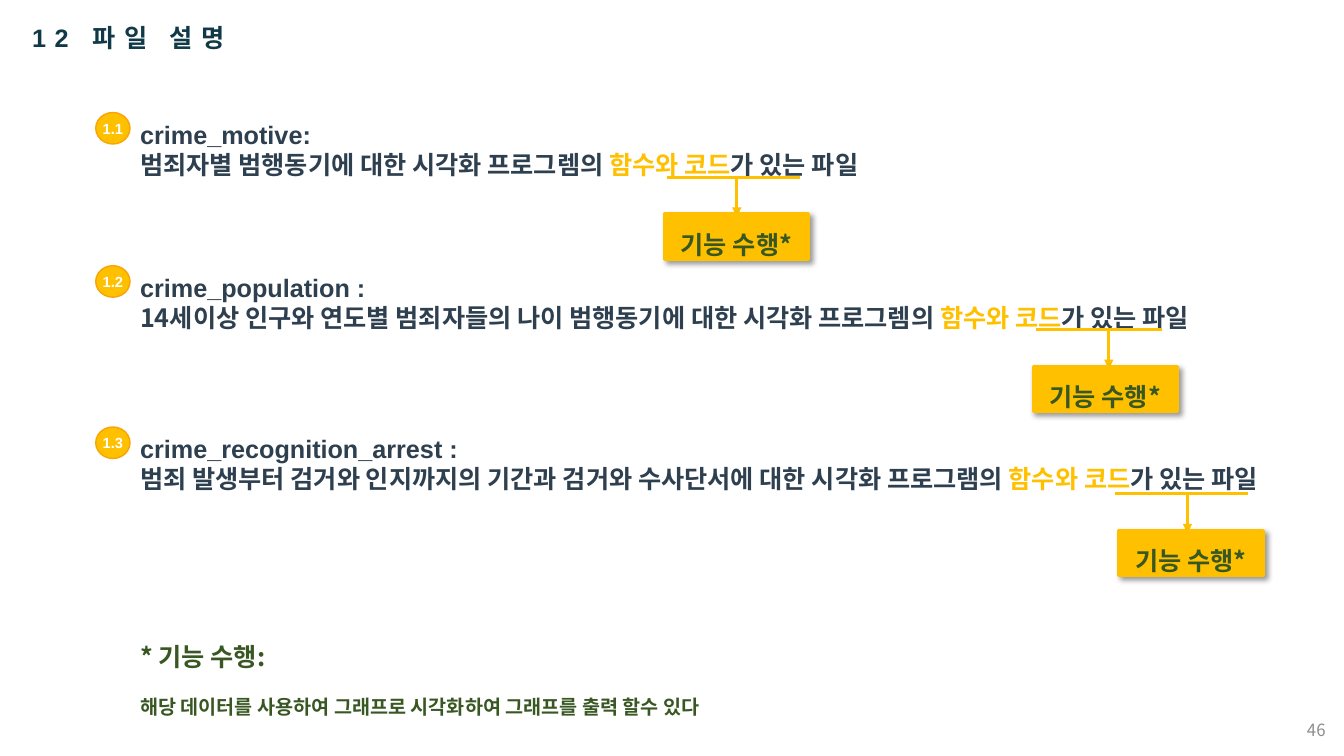
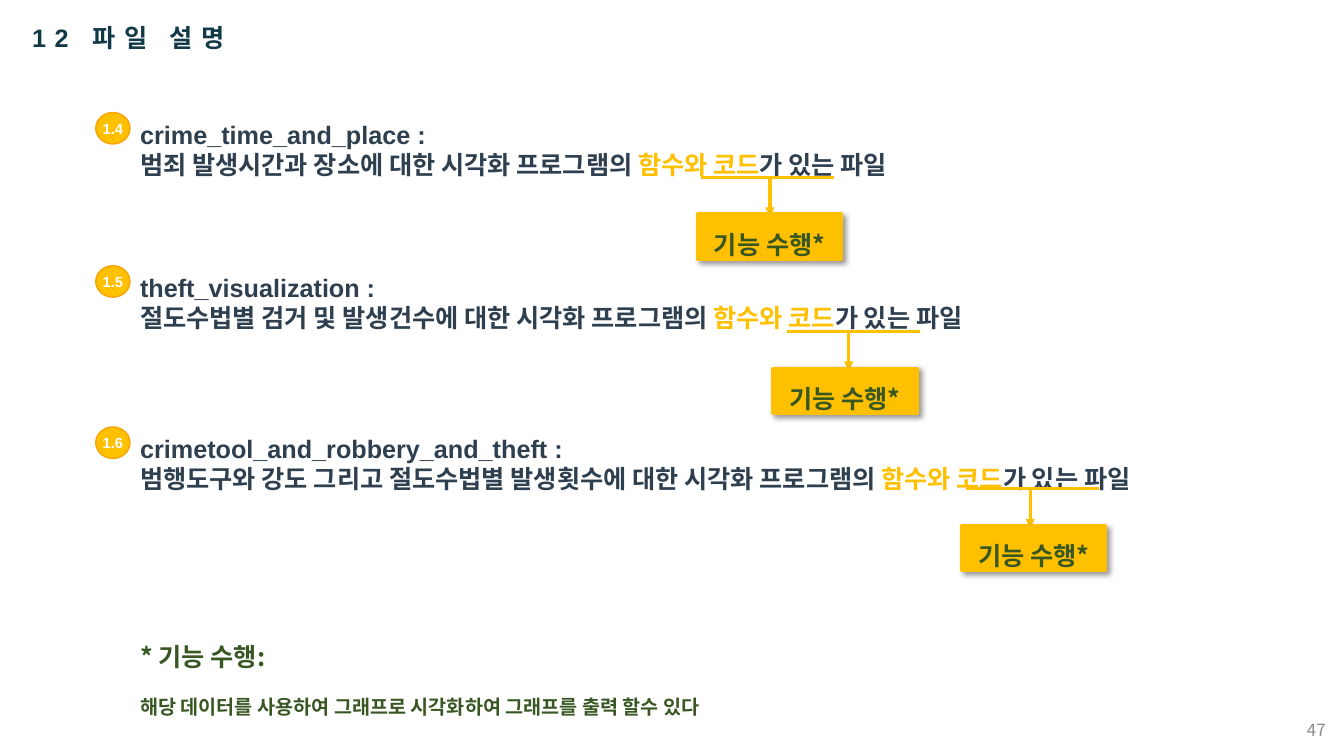
from dataclasses import dataclass

from lxml import etree
from pptx import Presentation
from pptx.dml.color import RGBColor
from pptx.enum.shapes import MSO_CONNECTOR, MSO_SHAPE
from pptx.enum.text import MSO_ANCHOR, MSO_AUTO_SIZE, PP_ALIGN
from pptx.oxml.ns import qn
from pptx.util import Pt

OVAL, RECTANGLE = MSO_SHAPE.OVAL, MSO_SHAPE.RECTANGLE
STRAIGHT = MSO_CONNECTOR.STRAIGHT
TOP, MIDDLE = MSO_ANCHOR.TOP, MSO_ANCHOR.MIDDLE
LEFT, CENTER, RIGHT = PP_ALIGN.LEFT, PP_ALIGN.CENTER, PP_ALIGN.RIGHT
NO_AUTOFIT = MSO_AUTO_SIZE.NONE
COMPARISON_LAYOUT = 4  # a title and four body placeholders


@dataclass(frozen=True)
class Theme:
    latin: str = "Arial"
    korean: str = "Noto Sans CJK KR"
    title: str = "113947"
    ink: str = "2E3F4F"
    accent: str = "FFC000"
    badge_edge: str = "FBA305"
    note: str = "385723"
    page_number: str = "8C8C8C"
    white: str = "FFFFFF"
    heading_size: float = 18
    note_size: float = 14
    number_size: float = 12
    badge_size: float = 10.5
    stroke: float = 2.25


@dataclass(frozen=True)
class Box:
    left: float
    top: float
    width: float
    height: float


@dataclass(frozen=True)
class Row:
    """Vertical places of one entry, and the arrow's offset in its callout."""
    top: float
    arrow_shift: float


@dataclass(frozen=True)
class Entry:
    number: str
    name: str
    description: str
    callout_left: float
    underline_shift: float
    underline_top: float
    underline_width: float = 95
    text_height: float = 62


@dataclass(frozen=True)
class Page:
    number: str
    entries: tuple[Entry, ...]


THEME = Theme()
TITLE = "12 파일 설명"
HIGHLIGHT = "함수와 코드"
ENDING = "가 있는 파일"
CALLOUT = "기능 수행*"
NOTE_HEADING = "* 기능 수행:"
NOTE = "해당 데이터를 사용하여 그래프로 시각화하여 그래프를 출력 할수 있다"

TITLE_BOX = Box(15.8, 12.2, 654.5, 29)
NOTE_BOX = Box(92.9, 432.7, 751, 85)
NUMBER_BOX = Box(738, 506.9, 216, 28.8)
ENTRY_LEFT, ENTRY_WIDTH = 92.9, 816.5
BADGE_LEFT, BADGE_DROP, BADGE_WIDTH, BADGE_HEIGHT = 68.4, 9.8, 24.5, 22.5
CALLOUT_DROP, CALLOUT_WIDTH, CALLOUT_HEIGHT = 26.2, 103, 32.4
ARROW_LENGTH = 28.1

ROWS = (Row(70.6, 51.8), Row(180, 54), Row(295.2, 49))
PAGES = (
    Page("46", (
        Entry("1.1", "crime_motive:",
              "범죄자별 범행동기에 대한 시각화 프로그렘의 ", 474.5, 2.1, 126.7),
        Entry("1.2", "crime_population :",
              "14세이상 인구와 연도별 범죄자들의 나이 범행동기에 대한 시각화 프로그렘의 ",
              738, 2.2, 235.5, underline_width=90),
        Entry("1.3", "crime_recognition_arrest :",
              "범죄 발생부터 검거와 인지까지의 기간과 검거와 수사단서에 대한 시각화 프로그램의 ",
              799.2, -2.9, 352.8, text_height=83.5),
    )),
    Page("47", (
        Entry("1.4", "crime_time_and_place :",
              "범죄 발생시간과 장소에 대한 시각화 프로그램의 ", 498.2, 2.2, 126.7),
        Entry("1.5", "theft_visualization :",
              "절도수법별 검거 및 발생건수에 대한 시각화 프로그램의 ",
              552.2, 10.1, 236.7),
        Entry("1.6", "crimetool_and_robbery_and_theft :",
              "범행도구와 강도 그리고 절도수법별 발생횟수에 대한 시각화 프로그램의 ",
              686.9, 2.9, 349.2),
    )),
)


# Text helpers
def add_span(para, text: str, color: str, size: float, font: str = THEME.korean,
             bold: bool = True, spacing: float = 0) -> None:
    span = para.add_run()
    span.text = text
    span.font.name = font
    span.font.size = Pt(size)
    span.font.bold = bold
    span.font.color.rgb = RGBColor.from_string(color)
    properties = span.font._element
    etree.SubElement(properties, qn("a:ea"), typeface=THEME.korean)
    if spacing:
        properties.set("spc", str(round(spacing * 100)))


def format_para(para, align=LEFT, line_spacing: float = 1.0):
    """Clear inherited bullet, indent and spacing."""
    properties = para._p.get_or_add_pPr()
    properties.set("marL", "0")
    properties.set("indent", "0")
    etree.SubElement(properties, qn("a:buNone"))
    para.alignment = align
    para.line_spacing = line_spacing
    para.space_before = para.space_after = Pt(0)
    return para


def prepare_frame(shape, anchor=TOP, inset: bool = True):
    frame = shape.text_frame
    frame.word_wrap = True
    frame.auto_size = NO_AUTOFIT
    frame.vertical_anchor = anchor
    side, end = (7.2, 3.6) if inset else (0, 0)
    frame.margin_left = frame.margin_right = Pt(side)
    frame.margin_top = frame.margin_bottom = Pt(end)
    return frame


def place(shape, box: Box) -> None:
    shape.left, shape.top = Pt(box.left), Pt(box.top)
    shape.width, shape.height = Pt(box.width), Pt(box.height)


# Drawing helpers
def add_panel(slide, kind, box: Box, edge: str, stroke: float):
    panel = slide.shapes.add_shape(
        kind, Pt(box.left), Pt(box.top), Pt(box.width), Pt(box.height))
    panel.shadow.inherit = False
    panel.fill.solid()
    panel.fill.fore_color.rgb = RGBColor.from_string(THEME.accent)
    panel.line.color.rgb = RGBColor.from_string(edge)
    panel.line.width = Pt(stroke)
    return panel


def add_line(slide, left: float, top: float, right: float, bottom: float,
             arrow: bool = False) -> None:
    line = slide.shapes.add_connector(
        STRAIGHT, Pt(left), Pt(top), Pt(right), Pt(bottom))
    line.line.color.rgb = RGBColor.from_string(THEME.accent)
    line.line.width = Pt(THEME.stroke)
    if arrow:
        etree.SubElement(line.line._get_or_add_ln(), qn("a:tailEnd"), type="triangle")
    etree.SubElement(line._element.spPr, qn("a:effectLst"))


def add_shadow(shape) -> None:
    effects = shape._element.spPr.find(qn("a:effectLst"))
    shadow = etree.SubElement(
        effects, qn("a:outerShdw"), blurRad=str(Pt(4)), dist=str(Pt(3)),
        dir=str(45 * 60000), algn="tl", rotWithShape="0")
    color = etree.SubElement(shadow, qn("a:srgbClr"), val="000000")
    etree.SubElement(color, qn("a:alpha"), val="40000")


# Parts of a page
def fill_title(title) -> None:
    place(title, TITLE_BOX)
    para = format_para(prepare_frame(title).paragraphs[0])
    add_span(para, TITLE, THEME.title, THEME.heading_size, THEME.latin, spacing=6)


def fill_entry(body, entry: Entry, row: Row) -> None:
    place(body, Box(ENTRY_LEFT, row.top, ENTRY_WIDTH, entry.text_height))
    frame = prepare_frame(body)
    heading = format_para(frame.paragraphs[0], line_spacing=1.5)
    add_span(heading, entry.name, THEME.ink, THEME.heading_size, THEME.latin)
    para = format_para(frame.add_paragraph())
    for text, color in ((entry.description, THEME.ink),
                        (HIGHLIGHT, THEME.accent), (ENDING, THEME.ink)):
        add_span(para, text, color, THEME.heading_size)


def fill_note(body) -> None:
    place(body, NOTE_BOX)
    frame = prepare_frame(body)
    heading = format_para(frame.paragraphs[0], line_spacing=2.0)
    add_span(heading, NOTE_HEADING, THEME.note, THEME.heading_size)
    para = format_para(frame.add_paragraph(), line_spacing=2.0)
    add_span(para, NOTE, THEME.note, THEME.note_size)


def add_badge(slide, entry: Entry, row: Row) -> None:
    box = Box(BADGE_LEFT, row.top + BADGE_DROP, BADGE_WIDTH, BADGE_HEIGHT)
    badge = add_panel(slide, OVAL, box, THEME.badge_edge, 1)
    frame = prepare_frame(badge, MIDDLE, inset=False)
    frame.word_wrap = False
    para = format_para(frame.paragraphs[0], CENTER)
    add_span(para, entry.number, THEME.white, THEME.badge_size, THEME.latin)


def add_callout(slide, entry: Entry, row: Row) -> None:
    top = entry.underline_top
    start = entry.callout_left + entry.underline_shift
    arrow = entry.callout_left + row.arrow_shift
    add_line(slide, start, top, start + entry.underline_width, top)
    add_line(slide, arrow, top, arrow, top + ARROW_LENGTH, arrow=True)
    box = Box(entry.callout_left, top + CALLOUT_DROP, CALLOUT_WIDTH, CALLOUT_HEIGHT)
    callout = add_panel(slide, RECTANGLE, box, THEME.accent, THEME.stroke)
    add_shadow(callout)
    frame = prepare_frame(callout, inset=False)
    para = format_para(frame.paragraphs[0], CENTER, 1.5)
    add_span(para, CALLOUT, THEME.note, THEME.heading_size)


def add_page_number(slide, number: str) -> None:
    box = NUMBER_BOX
    label = slide.shapes.add_textbox(
        Pt(box.left), Pt(box.top), Pt(box.width), Pt(box.height))
    para = format_para(prepare_frame(label, MIDDLE).paragraphs[0], RIGHT)
    add_span(para, number, THEME.page_number, THEME.number_size, bold=False)


def build_page(deck, page: Page) -> None:
    slide = deck.slides.add_slide(deck.slide_layouts[COMPARISON_LAYOUT])
    title, *bodies, note = slide.placeholders
    fill_title(title)
    fill_note(note)
    for body, entry, row in zip(bodies, page.entries, ROWS):
        fill_entry(body, entry, row)
        add_badge(slide, entry, row)
        add_callout(slide, entry, row)
    add_page_number(slide, page.number)


def main() -> None:
    deck = Presentation()
    deck.slide_width, deck.slide_height = Pt(960), Pt(540)
    for page in PAGES:
        build_page(deck, page)
    deck.save("out.pptx")


if __name__ == "__main__":
    main()
